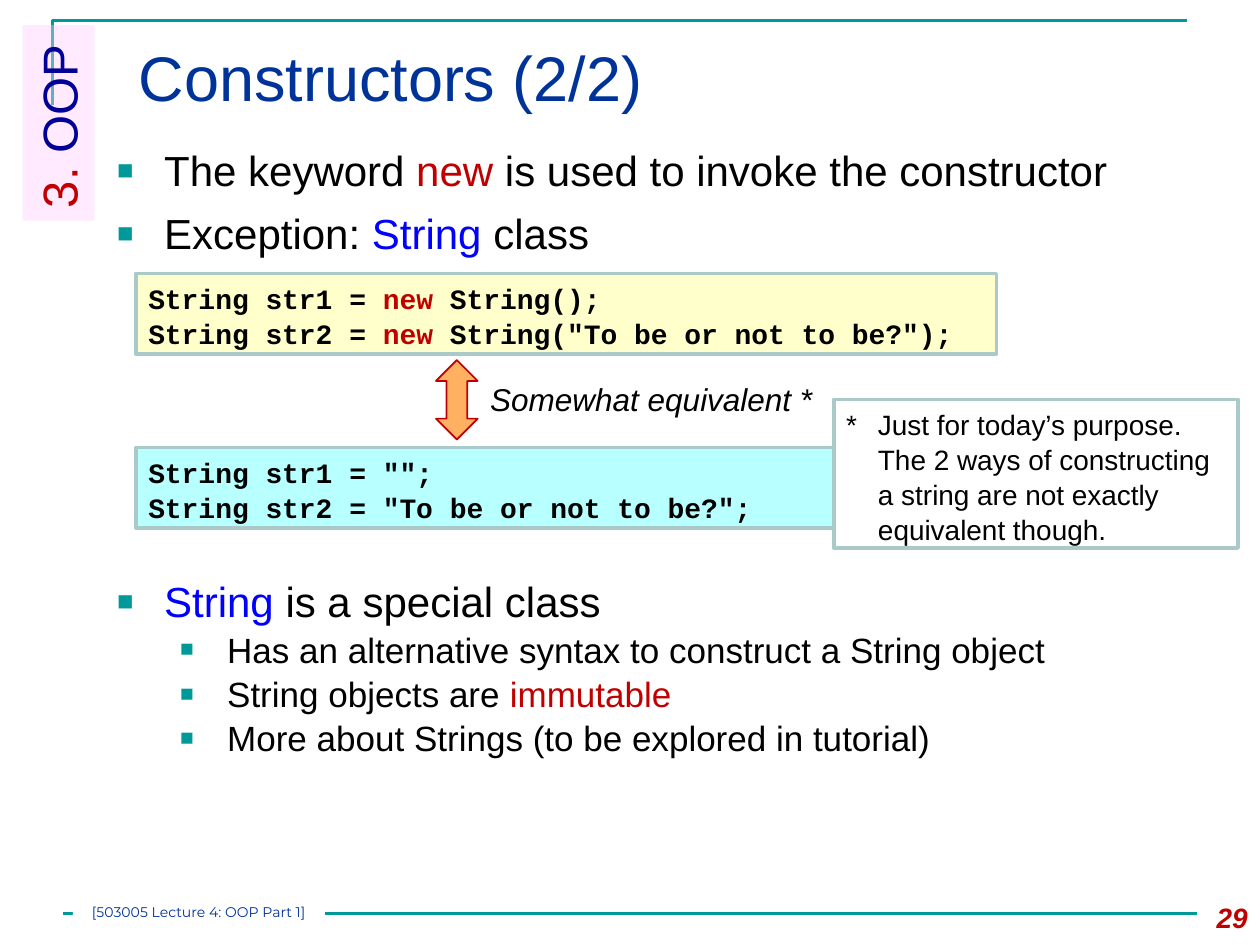
from pptx import Presentation, util as u
from pptx.dml.color import RGBColor
from pptx.enum import shapes, text
from pptx.oxml import parse_xml
from pptx.oxml.ns import nsdecls, qn
from lxml import etree

COLOURS = {
    "teal": "009999", "title": "003399", "red": "C00000", "blue": "0000FF",
    "navy": "000099", "black": "000000", "white": "FFFFFF", "pink": "FFCCFF",
    "yellow": "FFFFCC", "cyan": "B8FFFF", "orange": "FFB061", "edge": "AACACA",
}
BODY = {"name": "Arial", "size": 24}
SUB = {"name": "Arial", "size": 20}
CODE = {"name": "Courier New", "size": 16, "bold": True}
NOTE = {"name": "Arial", "size": 16}
LINE_SPACING = 1.05


def colour(name):
    return RGBColor.from_string(COLOURS[name])


def place(box, left, top, width, height):
    for name, value in zip(("left", "top", "width", "height"), (left, top, width, height)):
        setattr(box, name, u.Cm(value))


def add_bullet(para, left):
    props = para._p.get_or_add_pPr()
    set_indent(para, left, 0.95)
    for xml in (
        f'<a:buClr {nsdecls("a")}><a:srgbClr val="{COLOURS["teal"]}"/></a:buClr>',
        f'<a:buSzPct {nsdecls("a")} val="65000"/>',
        f'<a:buFont {nsdecls("a")} typeface="Arial"/>',
        f'<a:buChar {nsdecls("a")} char="■"/>',
    ):
        props.append(parse_xml(xml))


def set_indent(para, left, hanging):
    props = para._p.get_or_add_pPr()
    props.set("marL", str(u.Cm(left)))
    props.set("indent", str(-u.Cm(hanging)))


def write(para, spans, style, align=text.PP_ALIGN.LEFT):
    """Fill a paragraph with (text, colour) spans in one style."""
    para.alignment = align
    for words, tint in spans:
        span = para.add_run()
        span.text = words
        for name, value in style.items():
            setattr(span.font, name, u.Pt(value) if name == "size" else value)
        span.font.color.rgb = colour(tint)


def prepare_frame(box):
    frame = box.text_frame
    frame.word_wrap = True
    frame.vertical_anchor = text.MSO_ANCHOR.TOP
    return frame


def next_para(frame, index):
    para = frame.paragraphs[0] if index == 0 else frame.add_paragraph()
    para.line_spacing = LINE_SPACING
    return para


def add_text(slide, area, spans, style, align=text.PP_ALIGN.LEFT):
    box = slide.shapes.add_textbox(*map(u.Cm, area))
    write(prepare_frame(box).paragraphs[0], spans, style, align)


def add_bullets(slide, area, items):
    """Each item is (level, space before, spans)."""
    frame = prepare_frame(slide.shapes.add_textbox(*map(u.Cm, area)))
    for index, (level, before, spans) in enumerate(items):
        para = next_para(frame, index)
        para.level = level
        para.space_before = u.Pt(before)
        add_bullet(para, 0.95 + 1.27 * level)
        write(para, spans, SUB if level else BODY)


def add_block(slide, area, fill, edge=None, width=2, kind=shapes.MSO_SHAPE.RECTANGLE):
    box = slide.shapes.add_shape(kind, *map(u.Cm, area))
    box.shadow.inherit = False
    box.fill.solid()
    box.fill.fore_color.rgb = colour(fill)
    if edge:
        box.line.color.rgb = colour(edge)
        box.line.width = u.Pt(width)
    else:
        box.line.fill.background()
    return box


def add_code(slide, top, fill, lines):
    frame = prepare_frame(add_block(slide, (2.74, top, 17.35, 1.63), fill, "edge"))
    for index, spans in enumerate(lines):
        write(next_para(frame, index), spans, CODE)


def add_frame_lines(slide):
    builder = slide.shapes.build_freeform(u.Cm(1.06), u.Cm(2.11))
    builder.add_line_segments(
        [(u.Cm(1.06), u.Cm(0.42)), (u.Cm(23.93), u.Cm(0.42))], close=False)
    corner = builder.convert_to_shape()
    corner.shadow.inherit = False
    corner.fill.background()
    rule = slide.shapes.add_connector(
        shapes.MSO_CONNECTOR.STRAIGHT, u.Cm(1.27), u.Cm(18.41), u.Cm(24.13), u.Cm(18.41))
    etree.SubElement(rule._element.spPr, qn("a:effectLst"))
    for item in (corner, rule):
        item.line.color.rgb = colour("teal")
        item.line.width = u.Pt(1.5)


def add_section_tab(slide):
    tab = add_block(slide, (-0.79, 1.75, 3.94, 1.45), "pink")
    tab.rotation = 270
    tint = tab.fill._xPr.find(".//" + qn("a:srgbClr"))
    etree.SubElement(tint, qn("a:alpha"), val="40000")
    write(prepare_frame(tab).paragraphs[0], [("3.", "red"), (" OOP", "navy")],
          {"name": "Arial", "size": 28})


def add_note(slide):
    frame = prepare_frame(add_block(slide, (16.81, 8.05, 8.15, 3), "white", "edge"))
    para = next_para(frame, 0)
    set_indent(para, 0.64, 0.64)
    write(para, [("*\tJust for today’s purpose. The 2 ways of constructing a string "
                  "are not exactly equivalent though.", "black")], NOTE)


def add_footer(slide):
    footer = add_block(slide, (1.47, 18.21, 5.08, 0.43), "white")
    frame = prepare_frame(footer)
    for side in ("left", "top", "right", "bottom"):
        setattr(frame, f"margin_{side}", 0)
    write(frame.paragraphs[0], [("[503005 Lecture 4: OOP Part 1]", "title")],
          {"name": "Montserrat", "size": 8}, text.PP_ALIGN.CENTER)
    add_text(slide, (23.7, 18.03, 1.7, 1.02), [("29", "red")],
             NOTE | {"bold": True, "italic": True}, text.PP_ALIGN.RIGHT)


def main():
    deck = Presentation()
    deck.slide_width, deck.slide_height = u.Cm(25.4), u.Cm(19.05)
    slide = deck.slides.add_slide(deck.slide_layouts[5])

    # Title and frame
    title = slide.shapes.title
    place(title, 2.54, 0.64, 21.59, 2.18)
    write(prepare_frame(title).paragraphs[0], [("Constructors (2/2)", "title")],
          {"name": "Arial", "size": 36})
    add_frame_lines(slide)
    add_section_tab(slide)

    # Upper bullets
    add_bullets(slide, (2.11, 2.74, 22.23, 2.54), [
        (0, 0, [("The keyword ", "black"), ("new", "red"),
                (" is used to invoke the constructor", "black")]),
        (0, 6, [("Exception: ", "black"), ("String", "blue"), (" class", "black")]),
    ])

    # Two equivalent code samples
    add_code(slide, 5.51, "yellow", [
        [(f"String {name} = ", "black"), ("new", "red"), (f" String({value});", "black")]
        for name, value in (("str1", ""), ("str2", '"To be or not to be?"'))])
    add_code(slide, 9.02, "cyan", [
        [('String str1 = "";', "black")],
        [('String str2 = "To be or not to be?";', "black")]])
    add_block(slide, (8.79, 7.26, 0.84, 1.6), "orange", "red", 1,
              shapes.MSO_SHAPE.UP_DOWN_ARROW)
    add_text(slide, (9.42, 7.54, 7.42, 1.02), [("Somewhat equivalent *", "black")],
             {"name": "Arial", "size": 18, "italic": True}, text.PP_ALIGN.CENTER)

    # Lower bullets
    add_bullets(slide, (2.11, 11.43, 22.02, 4.24), [
        (0, 0, [("String", "blue"), (" is a special class", "black")]),
        (1, 0, [("Has an alternative syntax to construct a String object", "black")]),
        (1, 0, [("String objects are ", "black"), ("immutable", "red")]),
        (1, 0, [("More about Strings (to be explored in tutorial)", "black")]),
    ])

    # Note, footer and page number
    add_note(slide)
    add_footer(slide)
    deck.save("out.pptx")


if __name__ == "__main__":
    main()
